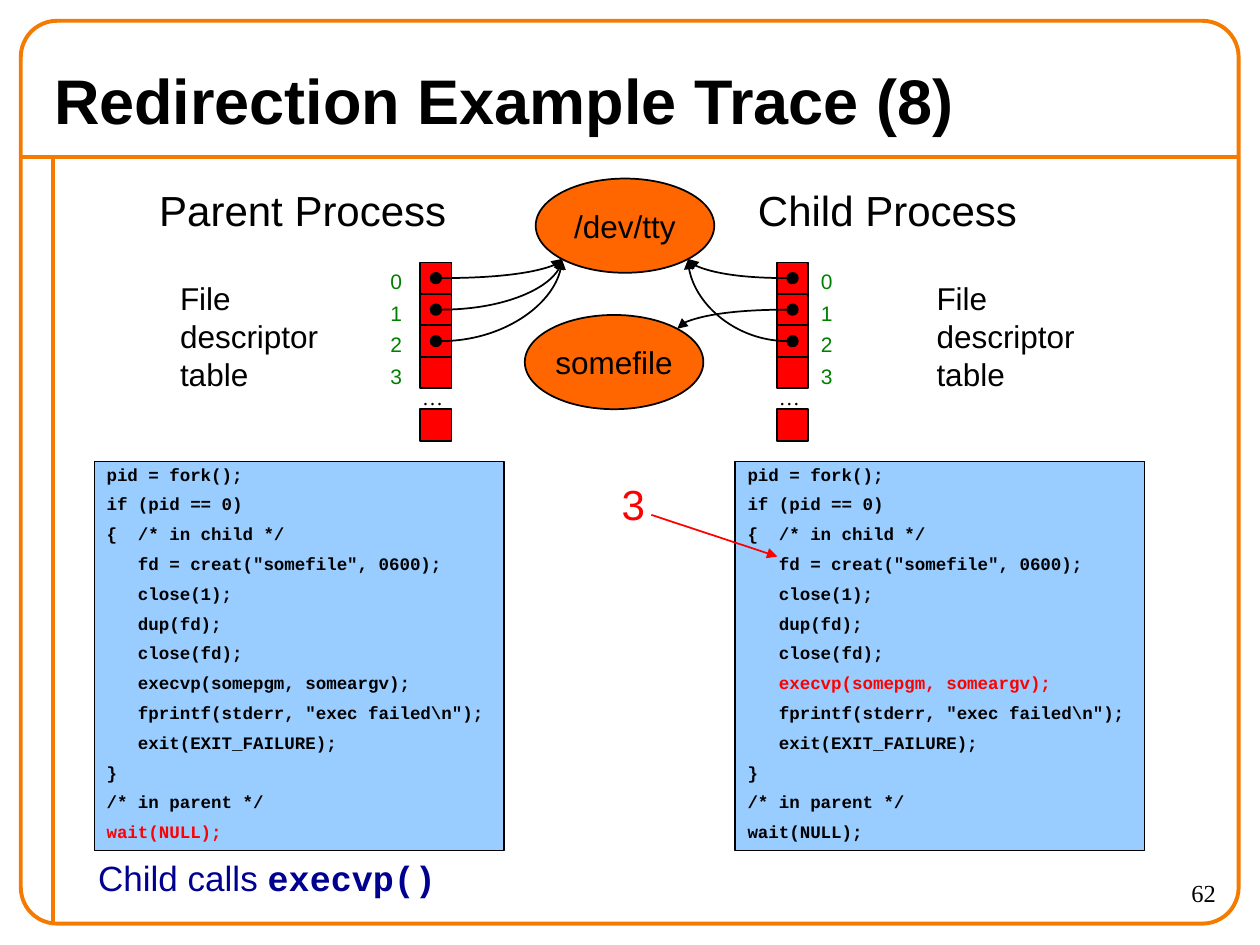
from math import sqrt

from pptx import Presentation
from pptx.dml.color import RGBColor
from pptx.enum.shapes import MSO_CONNECTOR, MSO_SHAPE
from pptx.enum.text import MSO_ANCHOR, PP_ALIGN
from pptx.oxml.ns import qn
from pptx.oxml.xmlchemy import OxmlElement
from pptx.util import Cm, Pt

BLACK, RED, ORANGE, FRAME = "000000", "FF0000", "FF6600", "F47A00"
CODE_BLUE, INDEX_GREEN, NOTE_BLUE = "99CCFF", "008000", "000090"
CELL = 2.54 / 4
DOT = CELL / 3
LEFT_SITE, BOTTOM_LEFT_SITE, BOTTOM_RIGHT_SITE, RIGHT_SITE, TOP_RIGHT_SITE = 2, 3, 5, 6, 7
CODE = r'''pid = fork();
if (pid == 0)
{  /* in child */
   fd = creat("somefile", 0600);
   close(1);
   dup(fd);
   close(fd);
   execvp(somepgm, someargv);
   fprintf(stderr, "exec failed\n");
   exit(EXIT_FAILURE);
}
/* in parent */
wait(NULL);'''.splitlines()


def color(value):
    """Turn a hex string into a colour."""
    return RGBColor.from_string(value)


def set_font(font, size, value, name="Arial", bold=False):
    """Set size, colour, face and weight of a font."""
    font.size, font.name, font.bold = Pt(size), name, bold
    font.color.rgb = color(value)


def add_text(slide, box, lines, size, value=BLACK, name="Arial", bold=False, wrap=False):
    """Add a text box with one paragraph for each line."""
    frame = slide.shapes.add_textbox(*map(Cm, box)).text_frame
    frame.word_wrap = wrap
    frame.text = lines
    for paragraph in frame.paragraphs:
        set_font(paragraph.font, size, value, name, bold)
    return frame


def add_block(slide, kind, box, fill, line=BLACK, width=1):
    """Add a preset shape with a flat fill and outline."""
    block = slide.shapes.add_shape(kind, *map(Cm, box))
    block.shadow.inherit = False
    if fill:
        block.fill.solid()
        block.fill.fore_color.rgb = color(fill)
    else:
        block.fill.background()
    block.line.color.rgb = color(line)
    block.line.width = Pt(width)
    return block


def add_line(slide, ends, value, width=1, kind=MSO_CONNECTOR.STRAIGHT, arrow=False):
    """Add a connector without shadow, with an optional arrowhead."""
    line = slide.shapes.add_connector(kind, *map(Cm, ends))
    line.line.color.rgb = color(value)
    line.line.width = Pt(width)
    properties = line._element.spPr
    if arrow:
        tail = OxmlElement("a:tailEnd")
        tail.set("type", "triangle")
        properties.find(qn("a:ln")).append(tail)
    properties.append(OxmlElement("a:effectLst"))
    return line


def oval_site(oval, site):
    """Return the point of a connection site on an oval."""
    reach = 1 / sqrt(2)
    across, down = {
        LEFT_SITE: (-1, 0), RIGHT_SITE: (1, 0), BOTTOM_LEFT_SITE: (-reach, reach),
        BOTTOM_RIGHT_SITE: (reach, reach), TOP_RIGHT_SITE: (reach, -reach),
    }[site]
    return (round(oval.left + oval.width * (1 + across) / 2),
            round(oval.top + oval.height * (1 + down) / 2))


def add_pointer(slide, dot, dot_site, file, file_site):
    """Join a descriptor dot to a file with a curved arrow."""
    pointer = add_line(slide, (0, 0, 1, 1), BLACK, kind=MSO_CONNECTOR.CURVE, arrow=True)
    pointer.begin_connect(dot, 0)
    pointer.end_connect(file, 0)
    for tag, site in (("a:stCxn", dot_site), ("a:endCxn", file_site)):
        pointer._element.find(".//" + qn(tag)).set("idx", str(site))
    pointer.begin_x, pointer.begin_y = oval_site(dot, dot_site)
    pointer.end_x, pointer.end_y = oval_site(file, file_site)
    pointer._element.spPr.find(qn("a:prstGeom")).set("prst", "curvedConnector2")


def add_file(slide, box, name):
    """Add an oval that stands for an open file."""
    file = add_block(slide, MSO_SHAPE.OVAL, box, ORANGE)
    frame = file.text_frame
    frame.word_wrap = False
    frame.vertical_anchor = MSO_ANCHOR.MIDDLE
    frame.text = name
    frame.paragraphs[0].alignment = PP_ALIGN.CENTER
    set_font(frame.paragraphs[0].font, 18, BLACK)
    return file


def add_descriptor_table(slide, left, top, index_left, dot_site, targets):
    """Add a column of descriptors, their indexes and their pointers."""
    for row in range(4):
        y = top + row * CELL
        add_block(slide, MSO_SHAPE.RECTANGLE, (left, y, CELL, CELL), RED)
        add_text(slide, (index_left, y, 0.86, 0.76), str(row), 12, INDEX_GREEN, wrap=True)
    add_block(slide, MSO_SHAPE.RECTANGLE, (left, top + 2.96, CELL, CELL), RED)
    add_text(slide, (left - 0.21, top + 2.33, 0.91, 0.76), "…", 12, name="Times New Roman")
    for row, (file, file_site) in enumerate(targets):
        dot_box = (left + DOT, top + row * CELL + DOT, DOT, DOT)
        dot = add_block(slide, MSO_SHAPE.OVAL, dot_box, BLACK)
        add_pointer(slide, dot, dot_site, file, file_site)


def add_code(slide, box, current):
    """Add the program listing with the current line in red."""
    panel = add_block(slide, MSO_SHAPE.RECTANGLE, box, CODE_BLUE, width=0.75)
    frame = panel.text_frame
    frame.word_wrap = True
    frame.vertical_anchor = MSO_ANCHOR.TOP
    frame.text = "\n".join(CODE)
    for row, paragraph in enumerate(frame.paragraphs):
        paragraph.alignment = PP_ALIGN.LEFT
        paragraph.line_spacing = 0.9 if row else 0.8
        paragraph.space_before = Pt(6.2 if row else 0)
        set_font(paragraph.font, 10, RED if current in paragraph.text else BLACK,
                 "Courier New", True)


def add_process(slide, left, top, heading, heading_width, offsets, dot_site, targets, current):
    """Add one process: heading, descriptor table and code."""
    heading_x, label_x, table_x, index_x = (left + offset for offset in offsets)
    add_text(slide, (heading_x, top, heading_width, 1.28), heading, 24)
    add_text(slide, (label_x, top + 1.9, 3.3, 2.55), "File\ndescriptor\ntable", 18)
    add_descriptor_table(slide, table_x, top + 1.69, index_x, dot_site, targets)
    add_code(slide, (left, top + 5.71, 8.26, 7.83), current)


def add_page_frame(slide, left, top, width, height):
    """Add the rounded border, its rules, the title and the page number."""
    rule_y, rule_x = top + 2.75, left + 0.64
    add_line(slide, (left, rule_y, left + width, rule_y), FRAME, 2.25)
    add_line(slide, (rule_x, rule_y, rule_x, top + height), FRAME, 2.25)
    border = add_block(slide, MSO_SHAPE.ROUNDED_RECTANGLE, (left, top, width, height),
                       None, FRAME, 2.25)
    border.adjustments[0] = 0.04
    title = add_text(slide, (left + 0.42, top + 0.64, 23.7, 1.9),
                     "Redirection Example Trace (8)", 36, bold=True, wrap=True)
    title.vertical_anchor = MSO_ANCHOR.MIDDLE
    number = add_text(slide, (left + 21.8, top + 17.15, 2.54, 1.06), "62", 14,
                      name="Times New Roman", wrap=True)
    number.paragraphs[0].alignment = PP_ALIGN.RIGHT


def add_step_note(slide, left, top):
    """Add the caption that names the current step."""
    paragraph = add_text(slide, (left, top, 7.32, 1.12), "", 20, NOTE_BLUE).paragraphs[0]
    for words, name, bold in (("Child calls ", "Arial", False),
                              ("execvp()", "Courier New", True)):
        run = paragraph.add_run()
        run.text = words
        set_font(run.font, 20, NOTE_BLUE, name, bold)


def add_descriptor_result(slide, left, top):
    """Add the returned descriptor and its arrow into the code."""
    add_text(slide, (left, top, 0.97, 1.28), "3", 24, RED)
    add_line(slide, (left + 0.85, top + 0.85, left + 3.39, top + 1.69), RED, arrow=True)


def main():
    """Build the slide and save it."""
    deck = Presentation()
    deck.slide_width, deck.slide_height = Cm(25.4), Cm(19.05)
    slide = deck.slides.add_slide(deck.slide_layouts[6])
    add_page_frame(slide, 0.42, 0.42, 24.55, 18.2)
    terminal = add_file(slide, (10.8, 3.6, 3.6, 1.9), "/dev/tty")
    somefile = add_file(slide, (10.58, 6.35, 3.6, 1.9), "somefile")
    to_terminal = (terminal, BOTTOM_RIGHT_SITE)
    add_process(slide, 1.9, 3.6, "Parent Process", 6.32, (1.06, 1.48, 6.57, 5.72),
                RIGHT_SITE, [(terminal, BOTTOM_LEFT_SITE)] * 3, "wait")
    add_process(slide, 14.82, 3.6, "Child Process", 5.75, (0.21, 3.81, 0.84, 1.48),
                LEFT_SITE, [to_terminal, (somefile, TOP_RIGHT_SITE), to_terminal], "execvp")
    add_step_note(slide, 1.73, 17.15)
    add_descriptor_result(slide, 12.28, 9.53)
    deck.save("out.pptx")


if __name__ == "__main__":
    main()
